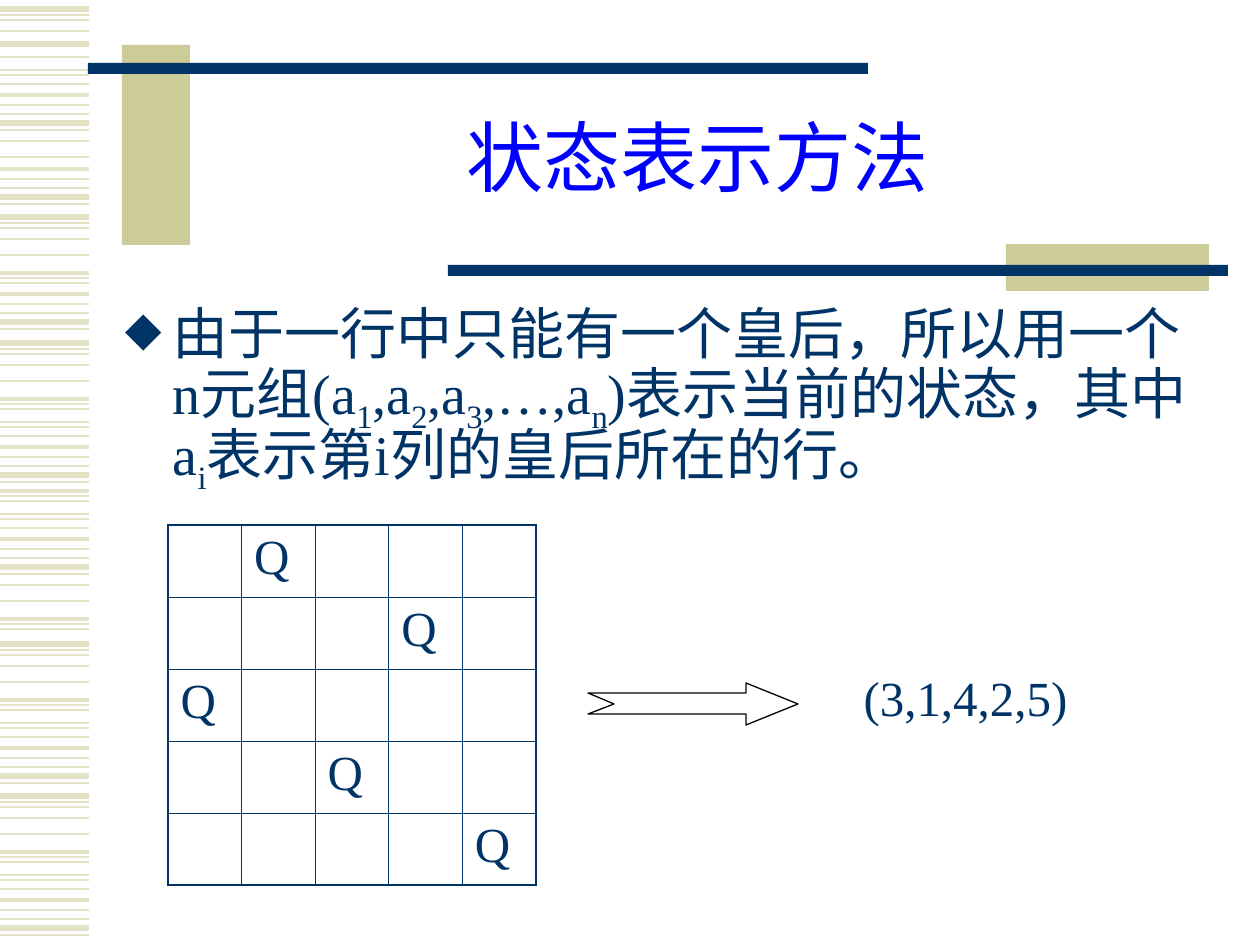
from lxml.etree import SubElement
from pptx import Presentation
from pptx.dml.color import RGBColor
from pptx.enum.shapes import MSO_CONNECTOR, MSO_SHAPE
from pptx.enum.text import MSO_ANCHOR, MSO_AUTO_SIZE, PP_ALIGN
from pptx.oxml.ns import qn
from pptx.util import Emu, Pt

SCALE = 914400 // 126
FONT = "Times New Roman"
COLORS = {"navy": "003366", "sand": "CCCC99", "stripe": "E3E2C7",
          "title": "0000FF", "outline": "000000"}

# One stripe motif: (offset, line width); each run draws a part of it.
STRIPE_MOTIF = [(0, 3), (6, 0.75), (11, 1), (22, 1), (38, 1), (56, 2.25),
                (61, 0.75), (66, 1.5), (79, 0.75), (84, 1.5), (93, 1),
                (104, 2.25), (114, 1.5), (123, 0.75), (132, 3), (139, 1.5)]
# (top of the motif, first stripe, stripe to stop before)
STRIPE_RUNS = [(9, 0, 4), (44, 0, 1), (-9, 7, 16), (119, 3, 5), (65, 11, 16),
               (217, 0, 8), (190, 11, 16), (343, 0, 16), (435, 5, 16),
               (563, 3, 8), (644, 0, 16), (796, 0, 16)]
BARS = [(122, 45, 68, 200, "sand"), (88, 63, 780, 11, "navy"),
        (1006, 244, 203, 47, "sand"), (448, 265, 780, 11, "navy")]

# Pieces alternate between the baseline and subscript.
BODY_PIECES = ["由于一行中只能有一个皇后，所以用一个n元组(a", "1", ",a", "2", ",a", "3",
               ",…,a", "n", ")表示当前的状态，其中a", "i", "表示第i列的皇后所在的行。"]
QUEEN_COLUMNS = [1, 3, 0, 2, 4]
ARROW_POINTS = [(588, 693), (746, 693), (746, 683), (798, 704), (746, 725),
                (746, 714), (588, 714), (614, 704)]


def pixels(value):
    """Turn pixels into EMU."""
    return Emu(value * SCALE)


def color(name):
    """Look up a colour by name."""
    return RGBColor.from_string(COLORS[name])


def format_runs(paragraph, size, color_name="navy"):
    """Give every run of a paragraph the slide's font, a size and a colour."""
    for run in paragraph.runs:
        run.font.name = FONT
        run.font.size = Pt(size)
        run.font.color.rgb = color(color_name)


def place(shape, left, top, width, height):
    """Move and size a placeholder and bring it to the front."""
    shape.left, shape.top = pixels(left), pixels(top)
    shape.width, shape.height = pixels(width), pixels(height)
    shape.text_frame.auto_size = MSO_AUTO_SIZE.NONE
    shape._element.getparent().append(shape._element)


def add_stripe(slide, top, width):
    """Draw one stripe of the left edge."""
    stripe = slide.shapes.add_connector(
        MSO_CONNECTOR.STRAIGHT, 0, pixels(top), pixels(89), pixels(top))
    stripe.line.color.rgb = color("stripe")
    stripe.line.width = Pt(width)
    SubElement(stripe._element.spPr, qn("a:effectLst"))


def add_bar(slide, left, top, width, height, color_name):
    """Draw one plain rectangle."""
    bar = slide.shapes.add_shape(MSO_SHAPE.RECTANGLE, pixels(left), pixels(top),
                                 pixels(width), pixels(height))
    bar.shadow.inherit = False
    bar.fill.solid()
    bar.fill.fore_color.rgb = color(color_name)
    bar.line.fill.background()


def fill_title(title):
    """Write the slide title."""
    place(title, 189, 84, 1017, 158)
    title.text_frame.vertical_anchor = MSO_ANCHOR.MIDDLE
    title.text_frame.text = "状态表示方法"
    paragraph = title.text_frame.paragraphs[0]
    paragraph.alignment = PP_ALIGN.CENTER
    paragraph.line_spacing = 0.85
    format_runs(paragraph, 44, "title")


def set_bullet(paragraph, character, indent):
    """Give a paragraph a coloured bullet and a hanging indent."""
    properties = paragraph._p.get_or_add_pPr()
    properties.set("marL", str(pixels(indent)))
    properties.set("indent", str(-pixels(indent)))
    bullet_color = SubElement(properties, qn("a:buClr"))
    SubElement(bullet_color, qn("a:srgbClr"), val=COLORS["navy"])
    SubElement(properties, qn("a:buFont"), typeface=FONT)
    SubElement(properties, qn("a:buChar"), char=character)


def fill_body(body):
    """Write the bulleted sentence with its subscripts."""
    place(body, 112, 305, 1096, 209)
    paragraph = body.text_frame.paragraphs[0]
    paragraph.line_spacing = 0.8
    paragraph.space_before = Pt(8)
    set_bullet(paragraph, "⬥", 48)
    for index, piece in enumerate(BODY_PIECES):
        run = paragraph.add_run()
        run.text = piece
        if index % 2:
            run.font._element.set("baseline", "-25000")
    format_runs(paragraph, 32)


def set_borders(cell, row, column, last):
    """Draw a cell's borders, thicker on the outside of the board."""
    properties = cell._tc.get_or_add_tcPr()
    outside = {"lnL": column == 0, "lnR": column == last,
               "lnT": row == 0, "lnB": row == last}
    for side, is_outside in outside.items():
        width = Pt(1.08 if is_outside else 0.45)
        border = SubElement(properties, qn(f"a:{side}"), w=str(width))
        fill = SubElement(border, qn("a:solidFill"))
        SubElement(fill, qn("a:srgbClr"), val=COLORS["navy"])


def add_board(slide):
    """Add the chessboard with one queen in each row."""
    count = len(QUEEN_COLUMNS)
    table = slide.shapes.add_table(count, count, pixels(168), pixels(525),
                                   pixels(368), pixels(360)).table
    table.first_row = table.horz_banding = False
    for row, queen_column in enumerate(QUEEN_COLUMNS):
        for column in range(count):
            cell = table.cell(row, column)
            set_borders(cell, row, column, count - 1)
            cell.fill.background()
            if column == queen_column:
                cell.text_frame.text = "Q"
                paragraph = cell.text_frame.paragraphs[0]
                paragraph.space_before = Pt(7)
                format_runs(paragraph, 28)


def add_result(slide):
    """Add the tuple that the board stands for."""
    box = slide.shapes.add_textbox(pixels(766), pixels(661), pixels(399), pixels(72))
    frame = box.text_frame
    frame.word_wrap = True
    frame.auto_size = MSO_AUTO_SIZE.SHAPE_TO_FIT_TEXT
    frame.text = "(3,1,4,2,5)"
    paragraph = frame.paragraphs[0]
    paragraph.alignment = PP_ALIGN.CENTER
    paragraph.space_before = Pt(17.5)
    format_runs(paragraph, 28)


def add_arrow(slide):
    """Draw the notched arrow from the board to the tuple."""
    builder = slide.shapes.build_freeform(*ARROW_POINTS[0], scale=SCALE)
    builder.add_line_segments(ARROW_POINTS[1:], close=True)
    arrow = builder.convert_to_shape()
    arrow.shadow.inherit = False
    arrow.fill.background()
    arrow.line.color.rgb = color("outline")
    arrow.line.width = Pt(0.75)


def main():
    """Build the slide and save it."""
    presentation = Presentation()
    presentation.slide_width, presentation.slide_height = pixels(1260), pixels(945)
    slide = presentation.slides.add_slide(presentation.slide_layouts[1])
    for top, first, stop in STRIPE_RUNS:
        for offset, width in STRIPE_MOTIF[first:stop]:
            add_stripe(slide, top + offset, width)
    for bar in BARS:
        add_bar(slide, *bar)
    fill_title(slide.shapes.title)
    fill_body(slide.placeholders[1])
    add_board(slide)
    add_result(slide)
    add_arrow(slide)
    presentation.save("out.pptx")


main()
